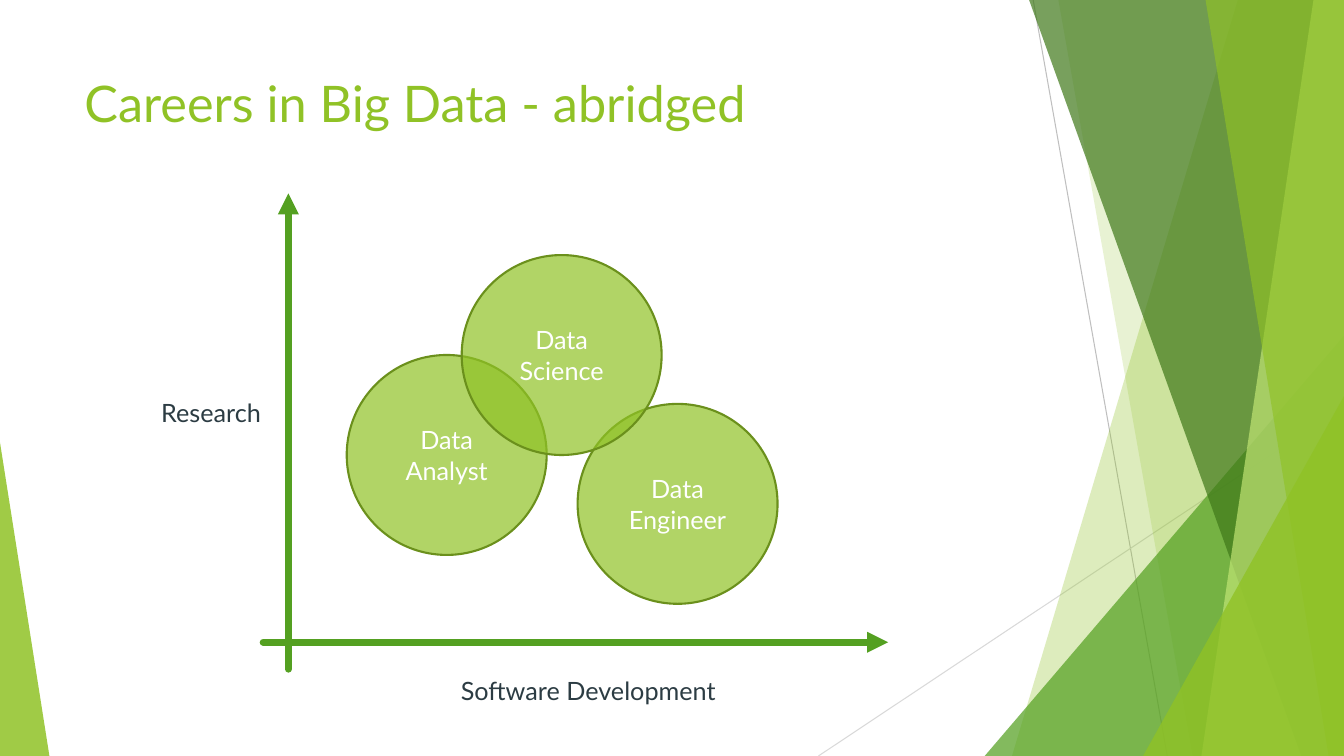
"""Build the "Careers in Big Data" slide."""
from dataclasses import dataclass

from lxml.etree import SubElement
from pptx import Presentation
from pptx.dml.color import RGBColor
from pptx.dml.fill import FillFormat
from pptx.enum.shapes import MSO_CONNECTOR, MSO_SHAPE
from pptx.enum.text import MSO_ANCHOR, PP_ALIGN
from pptx.oxml.ns import qn
from pptx.shapes.autoshape import Shape
from pptx.slide import Slide
from pptx.text.text import TextFrame
from pptx.util import Pt

PAGE_WIDTH, PAGE_HEIGHT = 960, 540
FONT = "Lato"
LIME, GREEN, DARK_GREEN, PALE_LIME = "90C226", "54A021", "3F7819", "C0E474"
OUTLINE, INK, WHITE = "6B901C", "2C3C43", "FFFFFF"
CIRCLE_SIZE = 142.8


@dataclass
class Line:
    start: tuple[float, float]
    end: tuple[float, float]
    color: str
    width: float
    arrow: bool = False


@dataclass
class Panel:
    """A band from its slanted left side to the right page edge."""
    top_left: float
    bottom_left: float
    color: str
    opacity: int


@dataclass
class Triangle:
    left: float
    top: float
    width: float
    apex: float
    color: str
    opacity: int


@dataclass
class Circle:
    text: str
    left: float
    top: float


@dataclass
class Label:
    text: str
    left: float
    top: float
    width: float
    height: float
    size: float = 18
    color: str = INK
    align: PP_ALIGN = PP_ALIGN.LEFT
    wrap: bool = True


DECORATION = [
    Line((738, 0), (833.8, PAGE_HEIGHT), "BFBFBF", 0.75),
    Line((PAGE_WIDTH, 290.2), (584.6, PAGE_HEIGHT), "D9D9D9", 0.75),
    Panel(884.2, 722.9, LIME, 30),
    Panel(756, 851.8, LIME, 20),
    Triangle(703.4, 239.8, 256.6, 1, GREEN, 72),
    Panel(735.1, 929.5, DARK_GREEN, 70),
    Panel(938.2, 858.2, PALE_LIME, 70),
    Panel(861.1, 949, LIME, 65),
    Triangle(816.5, 283, 143.5, 1, LIME, 80),
    Triangle(0, 316.1, 35.3, 0, LIME, 85),
]
CONTENT = [
    Label("Careers in Big Data - abridged", 53.3, 48.2, 676.8, 103.7, 36, LIME),
    Circle("Data Engineer", 412.6, 288.5),
    Circle("Data Analyst", 247.7, 253.6),
    Line((206, 478), (206, 138.2), GREEN, 5, arrow=True),
    Line((188, 458.8), (634.4, 458.8), GREEN, 5, arrow=True),
    Label("Research", 108, 280.2, 87.1, 29.1, wrap=False),
    Label("Software Development", 206, 478.8, 428.4, 29.1, align=PP_ALIGN.CENTER),
    Circle("Data Science", 329.8, 182.2),
]


def rgb(color: str) -> RGBColor:
    """Turn a hex string into a colour."""
    return RGBColor.from_string(color)


def paint(shape: Shape, color: str, opacity: int) -> None:
    """Give a shape a translucent fill, no outline and no shadow."""
    shape.shadow.inherit = False
    fill: FillFormat = shape.fill
    fill.solid()
    fill.fore_color.rgb = rgb(color)
    tint = shape._element.spPr.find(qn("a:solidFill"))[0]
    SubElement(tint, qn("a:alpha"), val=str(opacity * 1000))
    shape.line.fill.background()


def write(frame: TextFrame, text: str, *, size: float = 18, color: str = INK,
          align: PP_ALIGN = PP_ALIGN.LEFT, anchor: MSO_ANCHOR = MSO_ANCHOR.TOP,
          wrap: bool = True) -> None:
    """Put one formatted paragraph into a text frame."""
    frame.word_wrap = wrap
    frame.vertical_anchor = anchor
    para = frame.paragraphs[0]
    para.alignment = align
    span = para.add_run()
    span.text = text
    span.font.name = FONT
    span.font.size = Pt(size)
    span.font.color.rgb = rgb(color)


def draw_line(page: Slide, line: Line) -> None:
    """Draw a straight line, with a round cap and arrowhead if asked."""
    connector = page.shapes.add_connector(
        MSO_CONNECTOR.STRAIGHT, *map(Pt, line.start + line.end))
    connector.line.color.rgb = rgb(line.color)
    connector.line.width = Pt(line.width)
    properties = connector._element.spPr
    if line.arrow:
        stroke = properties.find(qn("a:ln"))
        stroke.set("cap", "rnd")
        SubElement(stroke, qn("a:tailEnd"), type="triangle")
    SubElement(properties, qn("a:effectLst"))


def draw_panel(page: Slide, panel: Panel) -> None:
    """Draw a full-height band with a slanted left side."""
    builder = page.shapes.build_freeform(Pt(panel.top_left), Pt(0))
    corners = [(PAGE_WIDTH, 0), (PAGE_WIDTH, PAGE_HEIGHT),
               (panel.bottom_left, PAGE_HEIGHT)]
    builder.add_line_segments([(Pt(x), Pt(y)) for x, y in corners], close=True)
    paint(builder.convert_to_shape(), panel.color, panel.opacity)


def draw_triangle(page: Slide, triangle: Triangle) -> None:
    """Draw a triangle standing on the bottom page edge."""
    shape = page.shapes.add_shape(
        MSO_SHAPE.ISOSCELES_TRIANGLE, Pt(triangle.left), Pt(triangle.top),
        Pt(triangle.width), Pt(PAGE_HEIGHT - triangle.top))
    shape.adjustments[0] = triangle.apex
    paint(shape, triangle.color, triangle.opacity)


def draw_circle(page: Slide, circle: Circle) -> None:
    """Draw one career circle with its name inside."""
    shape = page.shapes.add_shape(
        MSO_SHAPE.OVAL, Pt(circle.left), Pt(circle.top),
        Pt(CIRCLE_SIZE), Pt(CIRCLE_SIZE))
    paint(shape, LIME, 70)
    shape.line.color.rgb = rgb(OUTLINE)
    shape.line.width = Pt(1.5)
    write(shape.text_frame, circle.text, color=WHITE,
          align=PP_ALIGN.CENTER, anchor=MSO_ANCHOR.MIDDLE)


def draw_label(page: Slide, label: Label) -> None:
    """Draw a plain text box."""
    box = page.shapes.add_textbox(
        Pt(label.left), Pt(label.top), Pt(label.width), Pt(label.height))
    write(box.text_frame, label.text, size=label.size, color=label.color,
          align=label.align, wrap=label.wrap)


def main() -> None:
    """Create and save the deck."""
    deck = Presentation()
    deck.slide_width, deck.slide_height = Pt(PAGE_WIDTH), Pt(PAGE_HEIGHT)
    page = deck.slides.add_slide(deck.slide_layouts[6])
    painters = {Line: draw_line, Panel: draw_panel, Triangle: draw_triangle,
                Circle: draw_circle, Label: draw_label}
    for element in DECORATION + CONTENT:
        painters[type(element)](page, element)
    deck.save("out.pptx")


if __name__ == "__main__":
    main()
